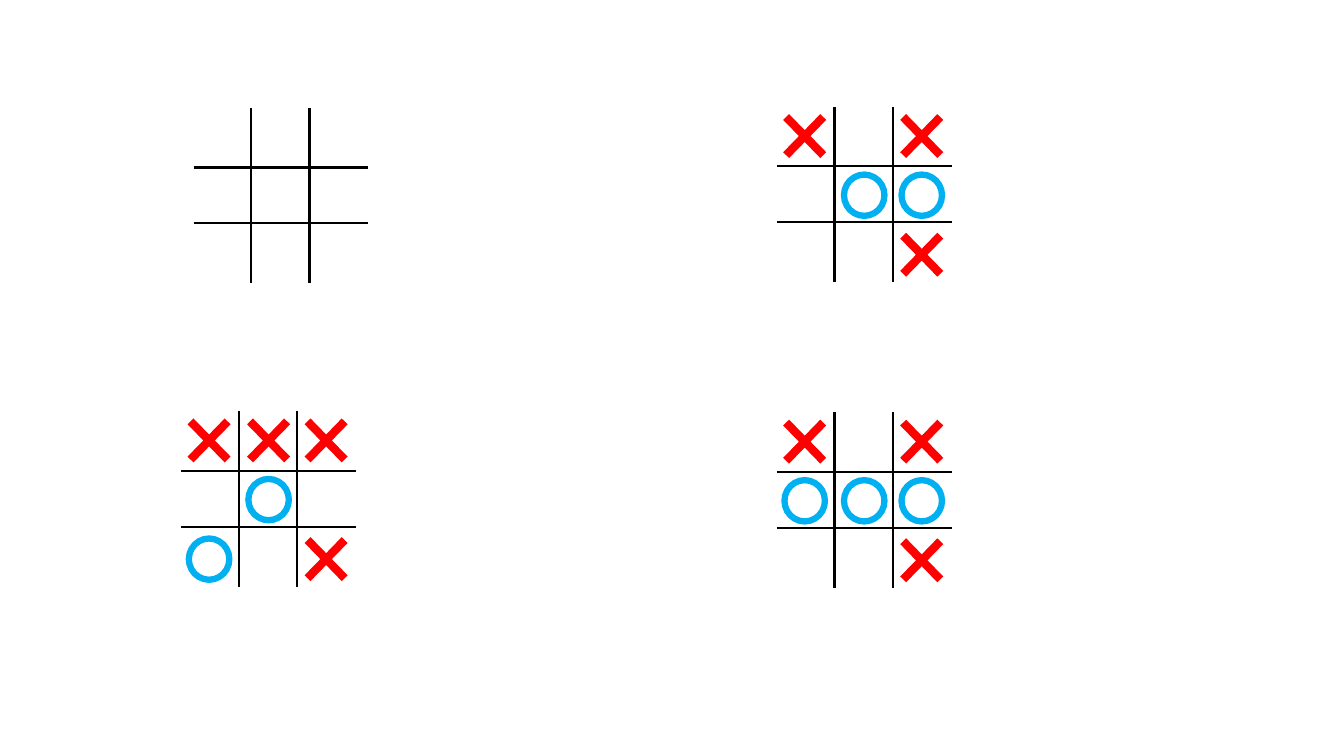
from lxml import etree
from pptx import Presentation
from pptx.dml.color import RGBColor
from pptx.enum.shapes import MSO_CONNECTOR, MSO_SHAPE
from pptx.oxml.ns import qn
from pptx.util import Cm, Pt

STRAIGHT = MSO_CONNECTOR.STRAIGHT
CROSS = MSO_SHAPE.MATH_MULTIPLY
RING = MSO_SHAPE.OVAL

COLORS = {"grid": "000000", "cross": "FF0000", "ring": "00B0F0", "paper": "FFFFFF"}

# Left and top in cm, then the three rows of the game
BOARDS = [
    (4.88, 2.72, ["...", "...", "..."]),
    (19.58, 2.69, ["X.X", ".OO", "..X"]),
    (4.57, 10.36, ["XXX", ".O.", "O.X"]),
    (19.58, 10.39, ["X.X", "OOO", "..X"]),
]

# Measures inside a board, in cm
BOARD_W, BOARD_H = 4.4, 4.42
GRID_XS, GRID_YS = (1.45, 2.92), (1.5, 2.91)
COLUMN_CENTERS = (0.7, 2.2, 3.65)
ROW_CENTERS = (0.74, 2.23, 3.73)
CROSS_SIZE = (1.8, 1.85)
RING_SIZE = (1.02, 1.04)


def rgb(name):
    return RGBColor.from_string(COLORS[name])


def add_grid_line(shapes, x1, y1, x2, y2):
    s = shapes.add_connector(STRAIGHT, Cm(x1), Cm(y1), Cm(x2), Cm(y2))
    s.line.color.rgb = rgb("grid")
    s.line.width = Pt(1.5)
    etree.SubElement(s._element.spPr, qn("a:effectLst"))


def add_centered(shapes, kind, x, y, size, fill):
    """Add a shape with its centre at x, y."""
    w, h = size
    s = shapes.add_shape(kind, Cm(x - w / 2), Cm(y - h / 2), Cm(w), Cm(h))
    s.shadow.inherit = False
    s.fill.solid()
    s.fill.fore_color.rgb = rgb(fill)
    return s


def add_mark(shapes, mark, x, y):
    if mark == "X":
        s = add_centered(shapes, CROSS, x, y, CROSS_SIZE, "cross")
        s.adjustments[0] = 0.116
        s.line.fill.background()
    else:
        s = add_centered(shapes, RING, x, y, RING_SIZE, "paper")
        s.line.color.rgb = rgb("ring")
        s.line.width = Pt(4.5)


def add_board(slide, left, top, rows):
    shapes = slide.shapes.add_group_shape().shapes
    for y in GRID_YS:
        add_grid_line(shapes, left, top + y, left + BOARD_W, top + y)
    for x in GRID_XS:
        add_grid_line(shapes, left + x, top, left + x, top + BOARD_H)
    for row, y in zip(rows, ROW_CENTERS):
        for mark, x in zip(row, COLUMN_CENTERS):
            if mark != ".":
                add_mark(shapes, mark, left + x, top + y)


def main():
    prs = Presentation()
    prs.slide_width, prs.slide_height = Cm(33.87), Cm(19.05)
    slide = prs.slides.add_slide(prs.slide_layouts[6])
    for left, top, rows in BOARDS:
        add_board(slide, left, top, rows)
    prs.save("out.pptx")


if __name__ == "__main__":
    main()
